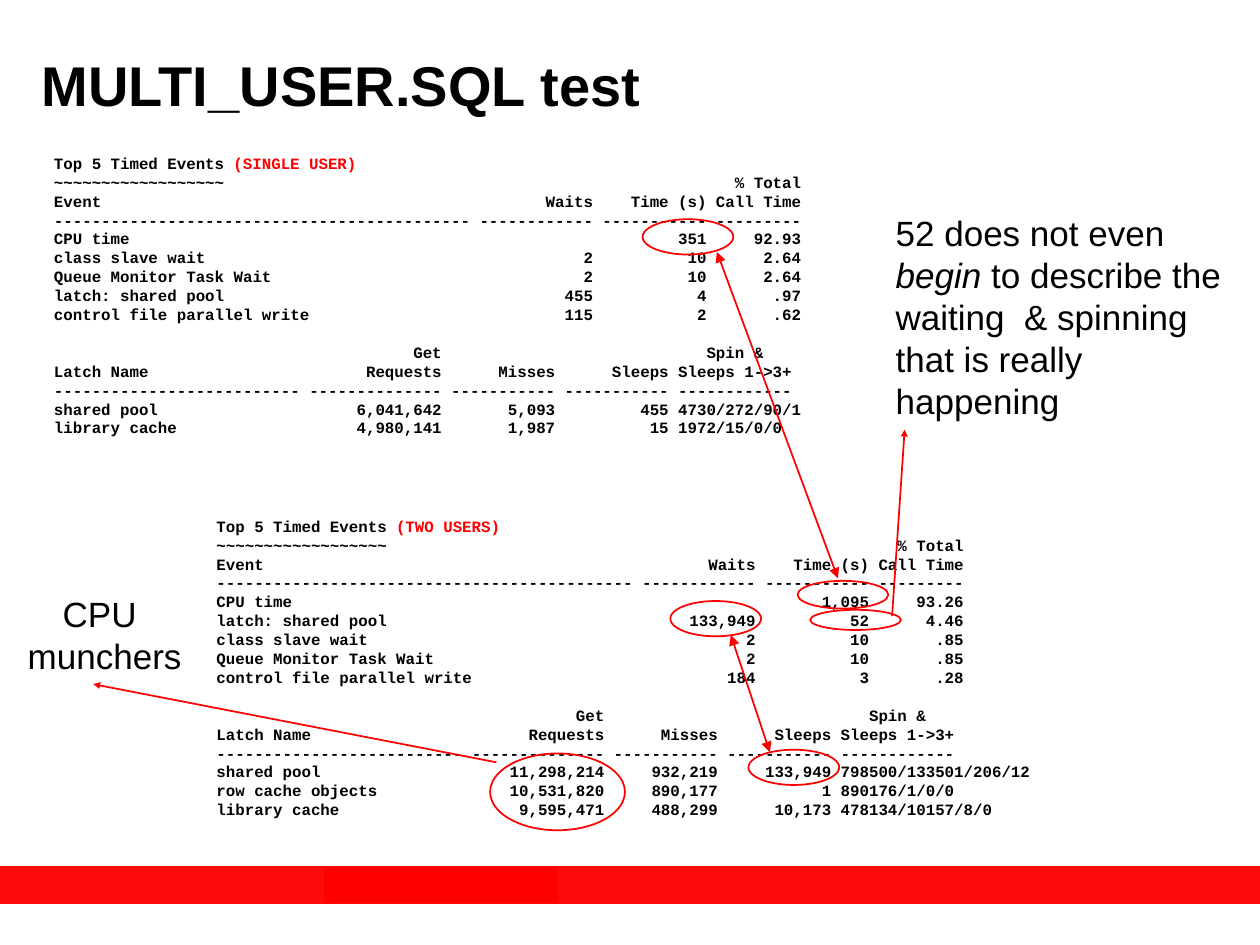
from pptx import Presentation
from pptx.util import Inches, Pt
from pptx.dml.color import RGBColor
from pptx.enum.shapes import MSO_SHAPE, MSO_CONNECTOR
from pptx.enum.text import PP_ALIGN, MSO_ANCHOR
from pptx.oxml.ns import qn
from lxml.etree import SubElement


class Theme:
    ink = RGBColor(0, 0, 0)
    red = RGBColor(0xFF, 0, 0)
    mark = RGBColor(0xFD, 0, 0)
    band = RGBColor(0xFB, 0x0B, 0x0B)
    sans, mono = "Arial", "Courier New"
    title, note, code, pitch = Pt(32), Pt(20), Pt(9), Pt(10.8)


def style(para, name, size, bold=False):
    font = para.font
    font.name, font.size, font.bold = name, size, bold
    font.color.rgb = Theme.ink


def textbox(x, y, w, h, wrap=True):
    box = slide.shapes.add_textbox(Inches(x), Inches(y), Inches(w), Inches(h))
    box.text_frame.word_wrap = wrap
    return box.text_frame


deck = Presentation()
deck.slide_width, deck.slide_height = Inches(10), Inches(7.5)
slide = deck.slides.add_slide(deck.slide_layouts[5])

# Footer band
for x, y, w, h, color in [(0, 6.88, 10, 0.29, Theme.band),
                          (2.58, 6.89, 1.84, 0.27, Theme.red)]:
    bar = slide.shapes.add_shape(MSO_SHAPE.RECTANGLE, Inches(x), Inches(y),
                                 Inches(w), Inches(h))
    bar.shadow.inherit = False
    bar.fill.solid()
    bar.fill.fore_color.rgb = bar.line.color.rgb = color
    bar.line.width = Pt(1)

# Title
title = slide.shapes.title
title.left, title.top = Inches(0.33), Inches(0.42)
title.width, title.height = Inches(9.41), Inches(0.58)
frame = title.text_frame
frame.text = "MULTI_USER.SQL test"
frame.margin_left = frame.margin_right = frame.margin_top = frame.margin_bottom = 0
frame.vertical_anchor = MSO_ANCHOR.MIDDLE
para = frame.paragraphs[0]
para.alignment, para.line_spacing = PP_ALIGN.LEFT, 0.85
style(para, Theme.sans, Theme.title, True)

# Console reports: place, label, event rows, latch rows
reports = [
    ((0.33, 1.17, 6.67, 2.66), "(SINGLE USER)",
     [("CPU time", "", "351", "92.93"),
      ("class slave wait", "2", "10", "2.64"),
      ("Queue Monitor Task Wait", "2", "10", "2.64"),
      ("latch: shared pool", "455", "4", ".97"),
      ("control file parallel write", "115", "2", ".62")],
     [("shared pool", "6,041,642", "5,093", "455", "4730/272/90/1"),
      ("library cache", "4,980,141", "1,987", "15", "1972/15/0/0")]),
    ((1.62, 4.05, 7.9, 2.81), "(TWO USERS)",
     [("CPU time", "", "1,095", "93.26"),
      ("latch: shared pool", "133,949", "52", "4.46"),
      ("class slave wait", "2", "10", ".85"),
      ("Queue Monitor Task Wait", "2", "10", ".85"),
      ("control file parallel write", "184", "3", ".28")],
     [("shared pool", "11,298,214", "932,219", "133,949", "798500/133501/206/12"),
      ("row cache objects", "10,531,820", "890,177", "1", "890176/1/0/0"),
      ("library cache", "9,595,471", "488,299", "10,173", "478134/10157/8/0")]),
]
event = "{:<44} {:>12} {:>11} {:>9}"
latch = "{:<26} {:>14} {:>11} {:>11} {}"
for place, label, events, latches in reports:
    top = [event.format("~" * 18, "", "", "% Total"),
           event.format("Event", "Waits", "Time (s)", "Call Time"),
           event.format(*["-" * n for n in (44, 12, 11, 9)])]
    top += [event.format(*row) for row in events]
    low = [latch.format("", "Get", "", "", "   Spin &"),
           latch.format("Latch Name", "Requests", "Misses", "Sleeps", "Sleeps 1->3+"),
           latch.format(*["-" * n for n in (26, 14, 11, 11, 12)])]
    low += [latch.format(*row) for row in latches]
    frame = textbox(*place)
    head = frame.paragraphs[0]
    head.add_run().text = "Top 5 Timed Events "
    run = head.add_run()
    run.text = label
    run.font.color.rgb = Theme.red
    for line in top + low:
        para = frame.add_paragraph()
        para.text = line
        if line == low[0]:
            para.space_before = Theme.pitch
    for para in frame.paragraphs:
        para.line_spacing = Theme.pitch
        style(para, Theme.mono, Theme.code, True)

# Side notes
frame = textbox(0.12, 4.65, 1.42, 0.77, wrap=False)
frame.text = "CPU \nmunchers"
for para in frame.paragraphs:
    para.alignment = PP_ALIGN.CENTER
    style(para, Theme.sans, Theme.note)

para = textbox(7.01, 1.63, 2.88, 1.77).paragraphs[0]
for words in ("52 does not even ", "begin",
              " to describe the waiting  & spinning that is really happening"):
    run = para.add_run()
    run.text = words
    if words == "begin":
        run.font.italic = True
style(para, Theme.sans, Theme.note)

# Rings around the figures
for x, y, w, h in [(5.94, 5.95, 0.72, 0.28), (5.32, 4.77, 0.72, 0.28),
                   (3.89, 5.98, 1.07, 0.61), (5.1, 1.74, 0.72, 0.28),
                   (6.33, 4.61, 0.72, 0.22), (6.43, 4.84, 0.72, 0.16)]:
    ring = slide.shapes.add_shape(MSO_SHAPE.OVAL, Inches(x), Inches(y),
                                  Inches(w), Inches(h))
    ring.shadow.inherit = False
    ring.fill.background()
    ring.line.color.rgb, ring.line.width = Theme.mark, Pt(1)

# Arrows: ends, then whether both ends are pointed
for x1, y1, x2, y2, both in [(5.8, 5.04, 6.11, 5.97, True),
                             (3.94, 6.05, 0.74, 5.43, False),
                             (5.69, 2, 6.65, 4.59, True),
                             (7.08, 4.89, 7.18, 3.41, False)]:
    link = slide.shapes.add_connector(MSO_CONNECTOR.STRAIGHT, Inches(x1),
                                      Inches(y1), Inches(x2), Inches(y2))
    link.line.color.rgb, link.line.width = Theme.mark, Pt(1)
    size = "med" if both else "sm"
    for tip in ("a:headEnd", "a:tailEnd") if both else ("a:tailEnd",):
        SubElement(link.line._get_or_add_ln(), qn(tip),
                   type="triangle", w=size, len=size)
    SubElement(link._element.spPr, qn("a:effectLst"))

deck.save("out.pptx")
